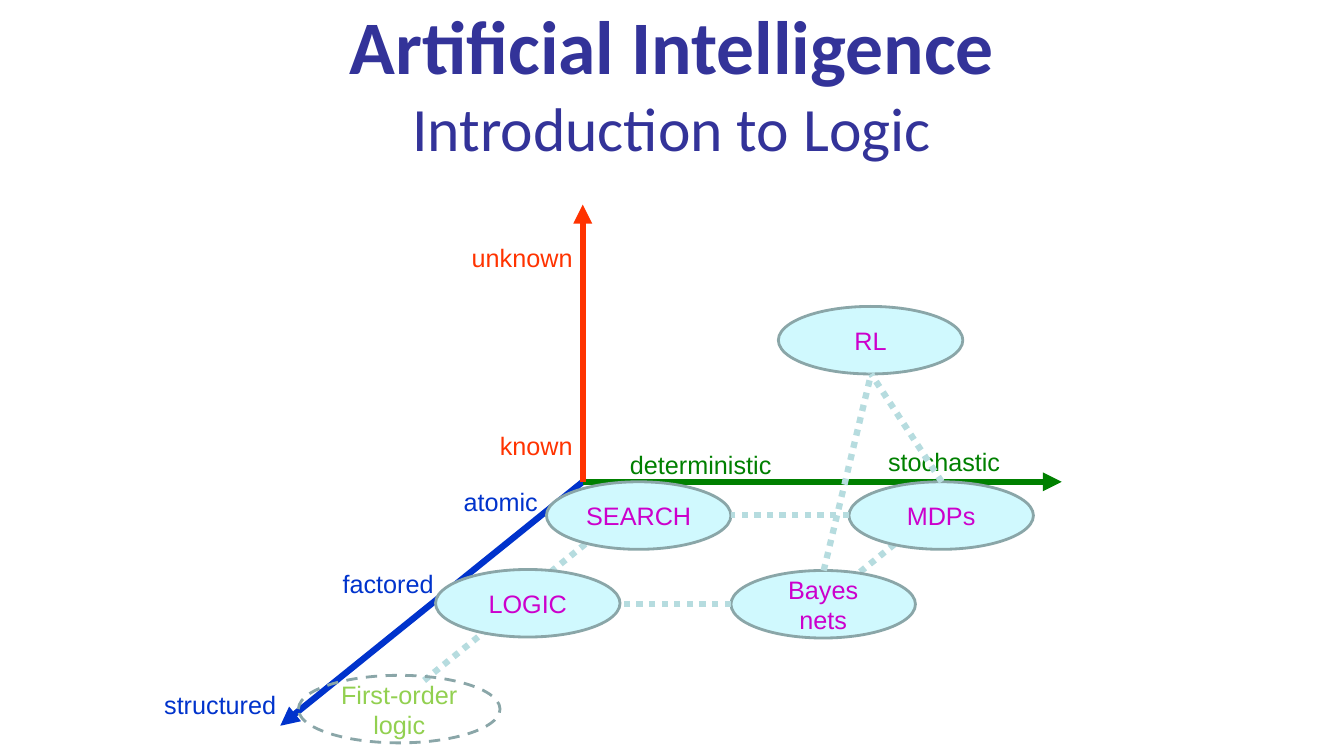
from lxml.etree import SubElement
from pptx import Presentation
from pptx.dml.color import RGBColor
from pptx.enum.dml import MSO_LINE
from pptx.enum.shapes import MSO_CONNECTOR, MSO_SHAPE
from pptx.enum.text import MSO_ANCHOR, MSO_AUTO_SIZE, PP_ALIGN
from pptx.oxml.ns import qn
from pptx.util import Pt

PX = 9144  # EMU in one px, 100 px to the inch
NAVY = RGBColor(0x33, 0x33, 0x99)
BLUE = RGBColor(0x00, 0x33, 0xCC)
GREEN = RGBColor(0x00, 0x80, 0x00)
RED = RGBColor(0xFF, 0x33, 0x00)
TEAL = RGBColor(0xB6, 0xDC, 0xDF)
GREY = RGBColor(0x8A, 0xA6, 0xA8)
CYAN = RGBColor(0xD0, 0xF9, 0xFE)
MAGENTA = RGBColor(0xCC, 0x00, 0xCC)
LIME = RGBColor(0x92, 0xD0, 0x50)


class Deck:
    def __init__(self, width, height):
        self.prs = Presentation()
        self.prs.slide_width, self.prs.slide_height = width * PX, height * PX
        self.s = self.prs.slides.add_slide(self.prs.slide_layouts[5])

    def style(self, r, color, size=18, font="Arial", bold=False):
        r.font.name, r.font.size, r.font.bold = font, Pt(size), bold
        r.font.color.rgb = color

    def title(self, heading, subtitle, w, h):
        sp = self.s.shapes.title
        sp.left, sp.top, sp.width, sp.height = 0, 0, w * PX, h * PX
        tf = sp.text_frame
        tf.auto_size = MSO_AUTO_SIZE.NONE
        tf.vertical_anchor = MSO_ANCHOR.MIDDLE
        p = tf.paragraphs[0]
        p.text = f"{heading}\v{subtitle}"
        p.alignment = PP_ALIGN.CENTER
        self.style(p.runs[0], NAVY, 54, "Calibri", True)
        self.style(p.runs[1], NAVY, 44, "Calibri")

    def line(self, start, end, color):
        ends = [v * PX for v in (*start, *end)]
        c = self.s.shapes.add_connector(MSO_CONNECTOR.STRAIGHT, *ends)
        c.line.color.rgb, c.line.width = color, Pt(4.5)
        SubElement(c._element.spPr, qn("a:effectLst"))
        return c

    def link(self, start, end):
        self.line(start, end, TEAL).line.dash_style = MSO_LINE.ROUND_DOT

    def axis(self, start, end, color, labels):
        ln = self.line(start, end, color).line._get_or_add_ln()
        SubElement(ln, qn("a:tailEnd"), type="triangle")
        for text, x, y, w in labels:
            self.label(text, x, y, w, color)

    def label(self, text, x, y, w, color):
        tf = self.s.shapes.add_textbox(x * PX, y * PX, w * PX, 40 * PX).text_frame
        tf.word_wrap = False
        tf.text = text
        self.style(tf.paragraphs[0].runs[0], color)

    def node(self, text, x, y, w=183, fill=CYAN, color=MAGENTA):
        sp = self.s.shapes.add_shape(MSO_SHAPE.OVAL, x * PX, y * PX, w * PX, 67 * PX)
        sp.shadow.inherit = False
        sp.line.color.rgb, sp.line.width = GREY, Pt(2)
        if fill is None:
            sp.fill.background()
            sp.line.dash_style = MSO_LINE.DASH
        else:
            sp.fill.solid()
            sp.fill.fore_color.rgb = fill
        tf = sp.text_frame
        tf.word_wrap = True
        tf.vertical_anchor = MSO_ANCHOR.MIDDLE
        tf.text = text
        p = tf.paragraphs[0]
        p.alignment = PP_ALIGN.CENTER
        self.style(p.runs[0], color)


def main():
    deck = Deck(1333, 750)
    deck.title("Artificial Intelligence", "Introduction to Logic", 1333, 161)

    # Diagonal links behind the axes and nodes
    for x, y in [(600, 524), (484, 624), (897, 532)]:
        deck.link((x, y), (x - 67, y + 54))

    # Three axes from a common origin
    origin = (578, 478)
    deck.axis(origin, (278, 720), BLUE, [
        ("atomic", 450, 478, 95),
        ("factored", 330, 559, 111),
        ("structured", 153, 679, 132),
    ])
    deck.axis(origin, (1053, 478), GREEN, [
        ("deterministic", 615, 441, 167),
        ("stochastic", 871, 438, 132),
    ])
    deck.axis(origin, (578, 203), RED, [
        ("known", 486, 422, 93),
        ("unknown", 458, 236, 121),
    ])

    # Topic nodes
    deck.node("RL", 772, 304)
    deck.node("Bayes nets", 725, 566)
    deck.node("First-order logic", 296, 670, 200, None, LIME)
    deck.node("LOGIC", 432, 565)
    deck.node("SEARCH", 542, 478)
    deck.node("MDPs", 842, 478)

    # Links between node edges
    rl_bottom = (864, 371)
    deck.link((817, 566), rl_bottom)
    deck.link((842, 511), (725, 511))
    deck.link((725, 599), (615, 599))
    deck.link((934, 478), rl_bottom)

    deck.prs.save("out.pptx")


if __name__ == "__main__":
    main()
